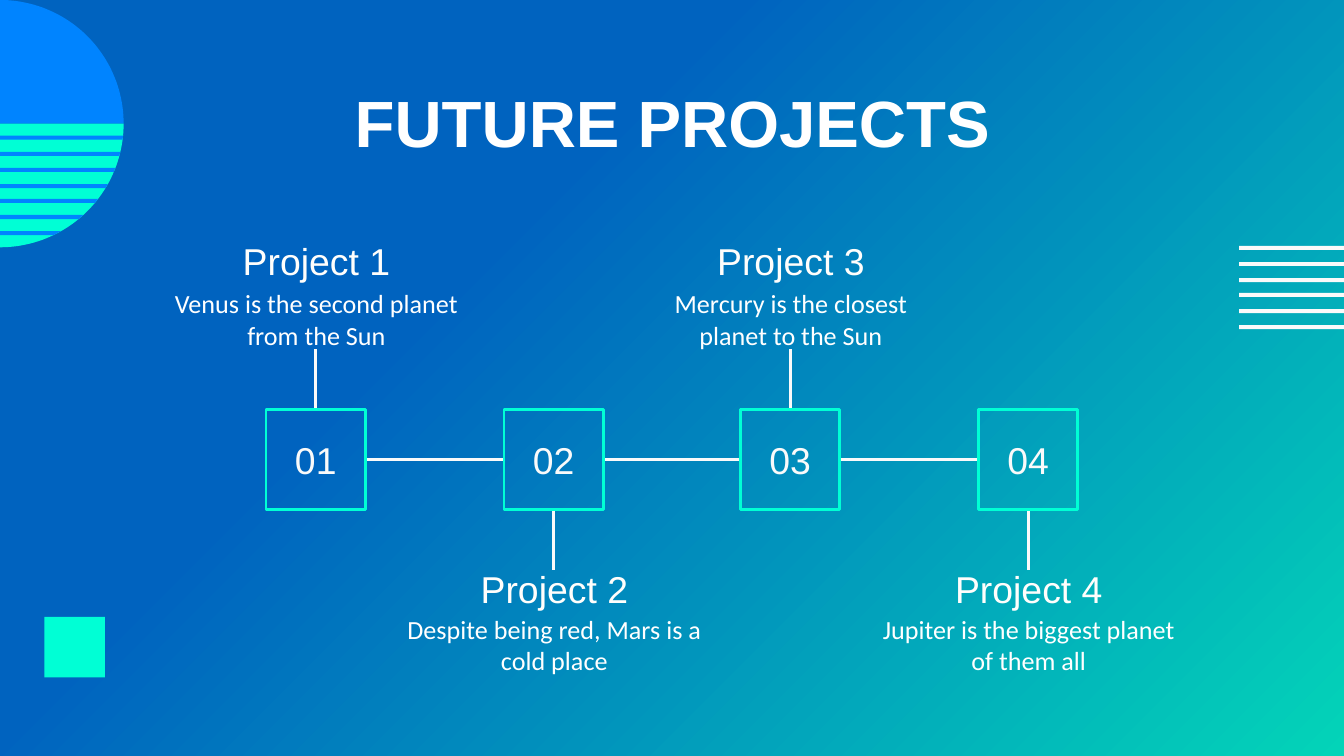
from dataclasses import dataclass
from math import cos, radians, sin, asin, degrees

from lxml import etree
from pptx import Presentation
from pptx.dml.color import RGBColor
from pptx.enum.shapes import MSO_CONNECTOR, MSO_SHAPE
from pptx.enum.text import MSO_ANCHOR, MSO_AUTO_SIZE, PP_ALIGN
from pptx.oxml.ns import qn
from pptx.util import Pt

PX = 9144
RECT = MSO_SHAPE.RECTANGLE
STRAIGHT = MSO_CONNECTOR.STRAIGHT
MIDDLE = MSO_ANCHOR.MIDDLE
CENTER = PP_ALIGN.CENTER
NO_FIT = MSO_AUTO_SIZE.NONE


@dataclass(frozen=True)
class Theme:
    """Colours, fonts and sizes of the slide."""
    blue: str = "0063BF"
    teal: str = "03D4B8"
    bright: str = "0084FF"
    mint: str = "00FFD5"
    line: str = "FAFAFA"
    heading: str = "FFFEFC"
    white: str = "FFFFFF"
    head_font: str = "Arial"
    body_font: str = "Calibri"
    title_size: int = 35
    head_size: int = 20
    body_size: int = 14
    line_width: float = 1.5


T = Theme()
RADIUS = 92
BOX, BOX_TOP = 74, 305
STEM = 45
HEAD_W, HEAD_H = 181, 28
BODY_W, BODY_H = 219, 47
FIRST_X, SPAN = 235, 530
PROJECTS = [
    ("Project 1", "Venus is the second planet from the Sun"),
    ("Project 2", "Despite being red, Mars is a cold place"),
    ("Project 3", "Mercury is the closest planet to the Sun"),
    ("Project 4", "Jupiter is the biggest planet of them all"),
]


def emu(*lengths):
    """Turn px lengths into EMU."""
    return [round(v * PX) for v in lengths]


def rgb(colour):
    """Make a colour from its hex text."""
    return RGBColor.from_string(colour)


def write(shape, text, size, colour, font=T.head_font, bold=False, inset=0):
    """Put one centred run of text in a shape."""
    tf = shape.text_frame
    tf.word_wrap = True
    tf.auto_size = NO_FIT
    tf.vertical_anchor = MIDDLE
    tf.margin_left = tf.margin_top = tf.margin_right = tf.margin_bottom = inset * PX
    p = tf.paragraphs[0]
    p.alignment = CENTER
    r = p.add_run()
    r.text = text
    r.font.size = Pt(size)
    r.font.name = font
    r.font.bold = bold
    r.font.color.rgb = rgb(colour)


def paint(shape, colour):
    """Give a shape a flat fill with no outline or shadow."""
    shape.shadow.inherit = False
    shape.fill.solid()
    shape.fill.fore_color.rgb = rgb(colour)
    shape.line.fill.background()


def add_block(s, x, y, w, h, colour):
    """Add a filled rectangle."""
    paint(s.shapes.add_shape(RECT, *emu(x, y, w, h)), colour)


def add_disc_band(s, top, bottom, colour):
    """Add the part of the half disc that lies between two heights."""
    start, end = (degrees(asin((y - RADIUS) / RADIUS)) for y in (top, bottom))
    steps = max(2, round((end - start) / 2))
    angles = [radians(start + (end - start) * i / steps) for i in range(steps + 1)]
    arc = [emu(RADIUS * cos(a), RADIUS + RADIUS * sin(a)) for a in angles]
    builder = s.shapes.build_freeform(*emu(0, top))
    builder.add_line_segments(arc + [emu(0, bottom)], close=True)
    paint(builder.convert_to_shape(), colour)


def add_line(s, x1, y1, x2, y2):
    """Add a straight timeline connector."""
    c = s.shapes.add_connector(STRAIGHT, *emu(x1, y1, x2, y2))
    c.line.color.rgb = rgb(T.line)
    c.line.width = Pt(T.line_width)
    etree.SubElement(c._element.spPr, qn("a:effectLst"))


def add_number_box(s, center, number):
    """Add an outlined square with a project number."""
    sp = s.shapes.add_shape(RECT, *emu(center - BOX // 2, BOX_TOP, BOX, BOX))
    sp.shadow.inherit = False
    sp.fill.background()
    sp.line.color.rgb = rgb(T.mint)
    sp.line.width = Pt(T.line_width)
    write(sp, f"{number:02d}", T.head_size, T.line, inset=10)


def add_label(s, center, y, w, h, text, size, colour, font):
    """Add a text box centred on a timeline column."""
    sp = s.shapes.add_textbox(*emu(center - w // 2, y, w, h))
    write(sp, text, size, colour, font)


def add_project(s, index, center, name, note):
    """Add one project, above the timeline or below it in turn."""
    if index % 2 == 0:
        edge, tip, head_y, body_y = BOX_TOP, BOX_TOP - STEM, 180, 214
    else:
        edge, tip, head_y, body_y = BOX_TOP + BOX, BOX_TOP + BOX + STEM, 424, 456
    add_line(s, center, edge, center, tip)
    add_number_box(s, center, index + 1)
    add_label(s, center, head_y, HEAD_W, HEAD_H, name, T.head_size, T.heading, T.head_font)
    add_label(s, center, body_y, BODY_W, BODY_H, note, T.body_size, T.white, T.body_font)


def set_background(s):
    """Fill the background with a diagonal gradient."""
    fill = s.background.fill
    fill.gradient()
    fill.gradient_angle = 315
    for stop, place, colour in zip(fill.gradient_stops, (0.35, 1), (T.blue, T.teal)):
        stop.position = place
        stop.color.rgb = rgb(colour)


def add_decoration(s):
    """Add the striped half disc, the side bars and the corner square."""
    add_disc_band(s, 0, RADIUS, T.bright)
    add_disc_band(s, RADIUS, 2 * RADIUS, T.mint)
    for i in range(7):
        y = 101 + round(71 * i / 6)
        add_disc_band(s, y, y + 3, T.bright)
    for i in range(6):
        add_block(s, 922, 183 + round(59 * i / 5), 78, 3, T.line)
    add_block(s, 33, 459, 45, 45, T.mint)


def add_title(s, text):
    """Place and format the title."""
    title = s.shapes.title
    title.left, title.top, title.width, title.height = emu(79, 59, 843, 63)
    write(title, text, T.title_size, T.white, bold=True, inset=10)


def main():
    """Build the slide and save it."""
    prs = Presentation()
    prs.slide_width, prs.slide_height = emu(1000, 562.5)
    s = prs.slides.add_slide(prs.slide_layouts[5])
    set_background(s)
    add_decoration(s)
    add_title(s, "FUTURE PROJECTS")
    centers = [FIRST_X + round(SPAN * i / 3) for i in range(len(PROJECTS))]
    axis = BOX_TOP + BOX // 2
    for left, right in zip(centers, centers[1:]):
        add_line(s, left + BOX // 2, axis, right - BOX // 2, axis)
    for i, (center, (name, note)) in enumerate(zip(centers, PROJECTS)):
        add_project(s, i, center, name, note)
    prs.save("out.pptx")


if __name__ == "__main__":
    main()
